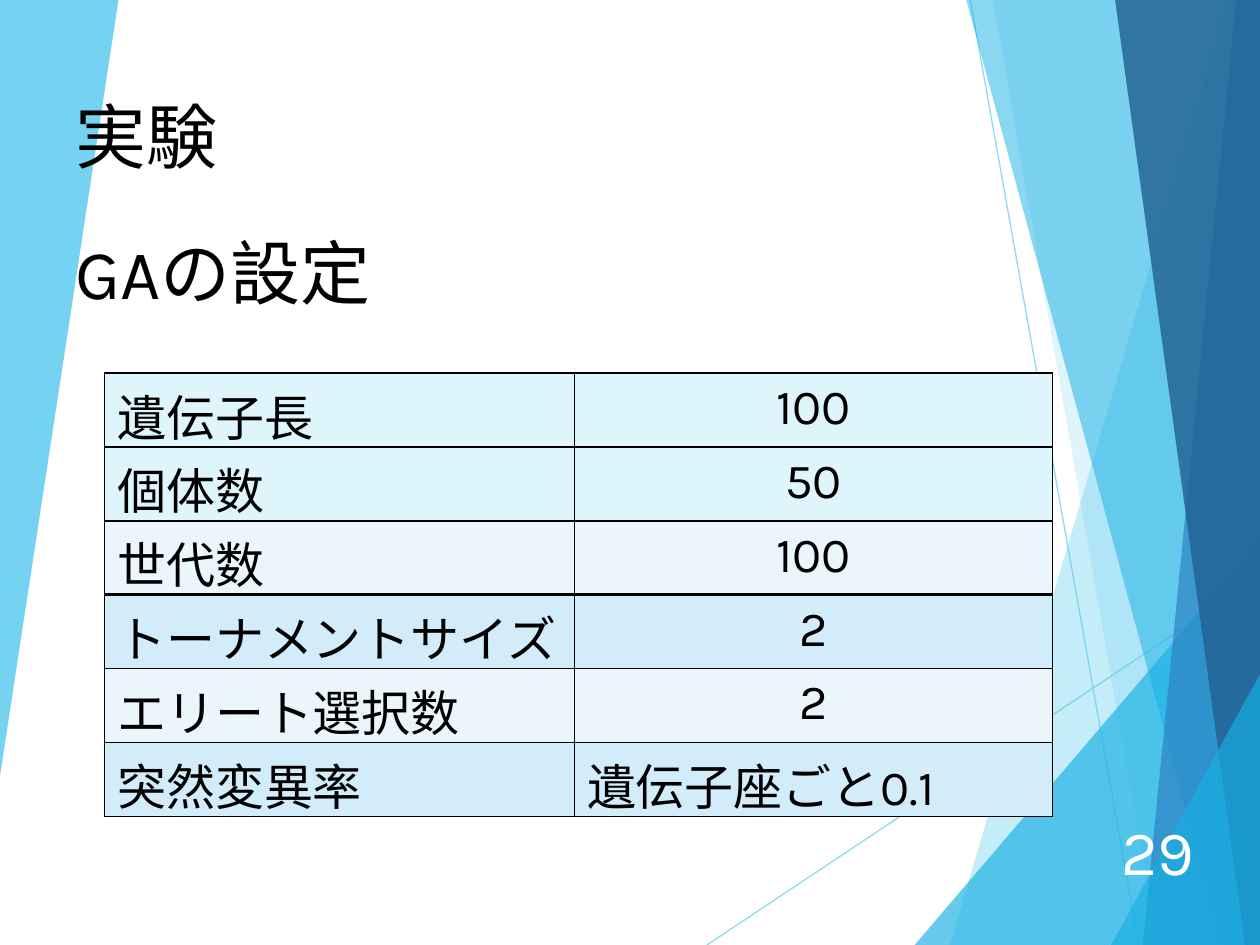
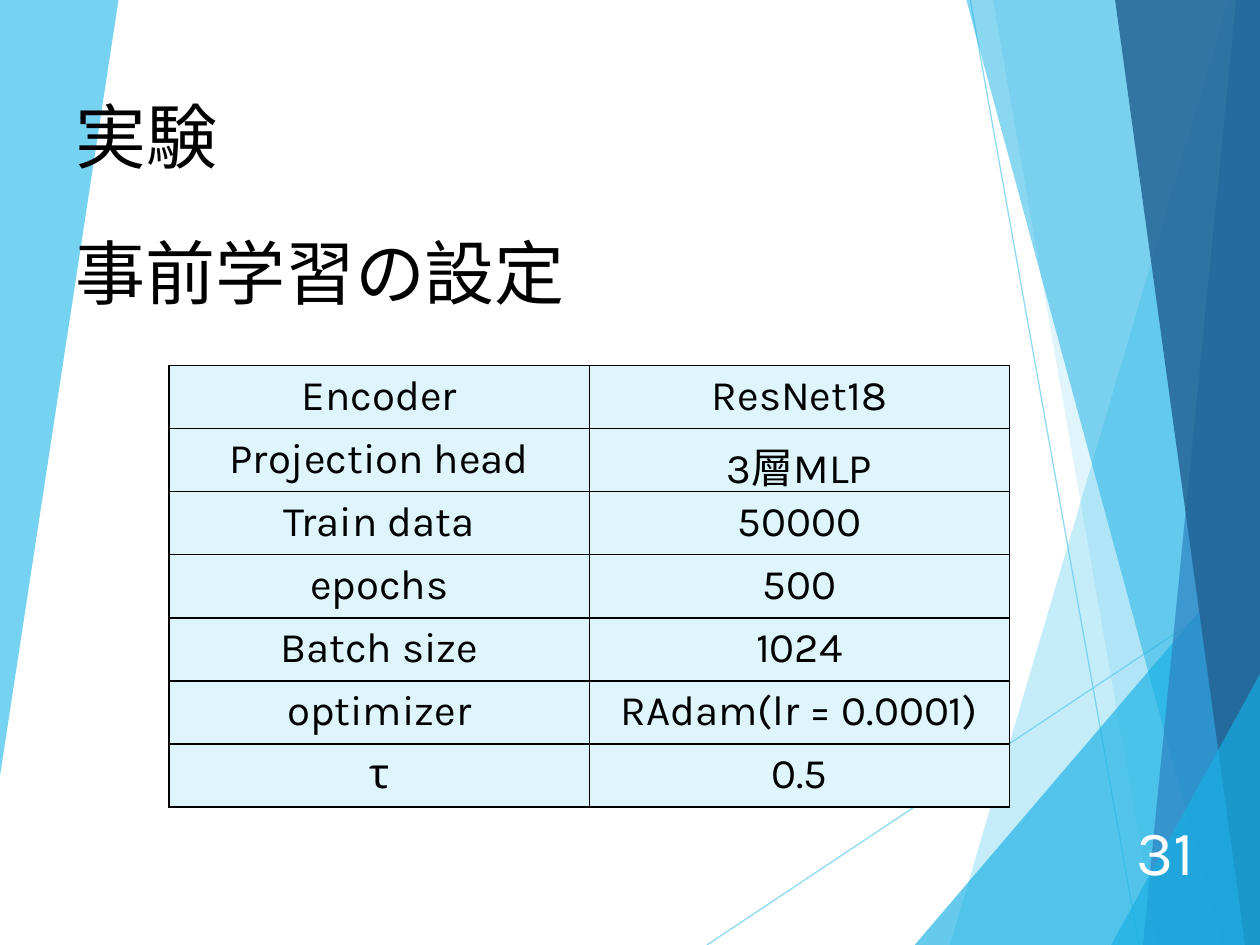
from dataclasses import dataclass
from typing import NamedTuple

from lxml.etree import SubElement
from pptx import Presentation
from pptx.dml.color import RGBColor
from pptx.enum.shapes import MSO_CONNECTOR
from pptx.enum.text import MSO_ANCHOR as Anchor, MSO_AUTO_SIZE as AutoSize, PP_ALIGN as Align
from pptx.oxml.ns import qn
from pptx.util import Cm, Pt


@dataclass(frozen=True)
class Theme:
    """Colours, font and type sizes of the deck."""
    font: str = "Karla"
    ink: str = "000000"
    paper: str = "FFFFFF"
    sky: str = "5FCBEF"
    cyan: str = "17B0E4"
    blue: str = "2E83C3"
    navy: str = "226292"
    cell_aqua: str = "DFF5FC"
    cell_pale: str = "EAF6FC"
    cell_blue: str = "D2ECF9"
    title_size: float = 40.5
    topic_size: float = 40
    number_size: float = 36
    wide_table_size: float = 28
    compact_table_size: float = 24
    hairline: float = 0.75
    rule: float = 1
    heavy_rule: float = 2.25


class Box(NamedTuple):
    """A region in centimetres."""
    left: float
    top: float
    width: float
    height: float

    def lengths(self):
        """Return the four sides as lengths."""
        return [Cm(side) for side in self]

    def point(self, x, y):
        """Return a point given relative to the box."""
        return Cm(self.left + x), Cm(self.top + y)


class Setting(NamedTuple):
    """One row of a settings table."""
    label: str
    value: str
    fill: str = "DFF5FC"
    value_align: Align = Align.CENTER


THEME = Theme()
PAGE = Box(0, 0, 25.4, 19.05)
TITLE = Box(1.27, 1.75, 9.68, 1.98)
TOPIC = Box(1.27, 4.5, 19.58, 1.96)
NUMBER = Box(22.2, 16.46, 2.13, 1.35)


def rgb(code):
    """Turn a hex code into a colour."""
    return RGBColor.from_string(code)


def write(frame, text, size, color=THEME.ink, align=Align.LEFT):
    """Add one styled run to the first paragraph of a frame."""
    paragraph = frame.paragraphs[0]
    paragraph.alignment = align
    run = paragraph.add_run()
    run.text = text
    run.font.name = THEME.font
    run.font.size = Pt(size)
    run.font.color.rgb = rgb(color)


def set_opacity(shape, percent):
    """Make every colour of a shape translucent."""
    for color in shape.element.iter(qn("a:srgbClr")):
        SubElement(color, qn("a:alpha"), val=str(percent * 1000))


def add_ray(shapes, box, start, end):
    """Draw one thin translucent line."""
    ray = shapes.add_connector(MSO_CONNECTOR.STRAIGHT, *box.point(*start), *box.point(*end))
    ray.line.color.rgb = rgb(THEME.sky)
    ray.line.width = Pt(THEME.hairline)
    set_opacity(ray, 70)
    SubElement(ray.element.spPr, qn("a:effectLst"))


def add_facet(shapes, box, outline, color, opacity):
    """Draw one translucent polygon."""
    first, *others = [box.point(*corner) for corner in outline]
    builder = shapes.build_freeform(*first)
    builder.add_line_segments(others, close=True)
    facet = builder.convert_to_shape()
    facet.shadow.inherit = False
    facet.fill.solid()
    facet.fill.fore_color.rgb = rgb(color)
    facet.line.fill.background()
    set_opacity(facet, opacity)


def add_backdrop(shapes, box):
    """Draw the faceted side bands and return their group."""
    width, height = box.width, box.height
    corner, upper = (width, height), (width, 0)

    def panel(top_x, bottom_x):
        return [(top_x, 0), (bottom_x, height), corner, upper]

    def wedge(bottom_x, right_y):
        return [(bottom_x, height), (width, right_y), corner]

    backdrop = shapes.add_group_shape()
    add_ray(backdrop.shapes, box, (14.25, height), (width, 11.63))
    add_ray(backdrop.shapes, box, (19.56, 0), (22.96, height))
    facets = [
        (panel(24.77, 19.15), THEME.sky, 36),
        (panel(20.02, 23.34), THEME.sky, 20),
        (wedge(18.44, 10.9), THEME.cyan, 66),
        (panel(19.48, 24.64), THEME.cyan, 50),
        (panel(24.92, 23.04), THEME.blue, 70),
        (panel(22.48, 25.1), THEME.navy, 82),
        (wedge(22.4, 13.59), THEME.cyan, 66),
        ([(0, 0), (2.39, 0), (0, 15.65)], THEME.sky, 85),
    ]
    for facet in facets:
        add_facet(backdrop.shapes, box, *facet)
    return backdrop


def prepare_layout(layout, backdrop):
    """Keep only the title on the layout and put the backdrop behind it."""
    for placeholder in list(layout.placeholders)[1:]:
        placeholder.element.getparent().remove(placeholder.element)
    layout.shapes.element.insert(2, backdrop.element)


def add_title(slide, box, text):
    """Place and fill the title placeholder."""
    title = slide.shapes.title
    title.left, title.top, title.width, title.height = box.lengths()
    frame = title.text_frame
    frame.auto_size = AutoSize.NONE
    frame.vertical_anchor = Anchor.TOP
    write(frame, text, THEME.title_size)


def add_label(slide, box, text, size, color=THEME.ink, align=Align.LEFT, anchor=Anchor.TOP):
    """Add a wrapped one-line text box."""
    frame = slide.shapes.add_textbox(*box.lengths()).text_frame
    frame.word_wrap = True
    frame.vertical_anchor = anchor
    write(frame, text, size, color, align)


def set_borders(cell, top, bottom):
    """Rule the four sides of a cell."""
    sides = {"L": THEME.rule, "R": THEME.rule, "T": top, "B": bottom}
    properties = cell._tc.get_or_add_tcPr()
    for side, width in sides.items():
        line = SubElement(properties, qn(f"a:ln{side}"), w=str(Pt(width)))
        SubElement(SubElement(line, qn("a:solidFill")), qn("a:srgbClr"), val=THEME.ink)


def add_settings(slide, box, settings, label_width, size, label_align, heavy_after=None):
    """Draw a two-column table with equal rows and an optional heavy rule."""
    count = len(settings)
    table = slide.shapes.add_table(count, 2, *box.lengths()).table
    table.first_row = table.horz_banding = False
    table.columns[0].width = Cm(label_width)
    table.columns[1].width = Cm(box.width - label_width)
    rules = [THEME.heavy_rule if i == heavy_after else THEME.rule for i in range(count + 1)]
    for index, setting in enumerate(settings):
        table.rows[index].height = Cm(box.height / count)
        texts = [(setting.label, label_align), (setting.value, setting.value_align)]
        for column, (text, align) in enumerate(texts):
            cell = table.cell(index, column)
            set_borders(cell, rules[index], rules[index + 1])
            cell.fill.solid()
            cell.fill.fore_color.rgb = rgb(setting.fill)
            write(cell.text_frame, text, size, align=align)


def add_experiment_slide(deck, layout, topic, number):
    """Add a slide with the shared heading, its topic and its number."""
    slide = deck.slides.add_slide(layout)
    add_title(slide, TITLE, "実験")
    add_label(slide, TOPIC, topic, THEME.topic_size)
    add_label(slide, NUMBER, number, THEME.number_size, THEME.paper, Align.RIGHT, Anchor.MIDDLE)
    return slide


def main():
    """Build both slides and save the deck."""
    deck = Presentation()
    deck.slide_width, deck.slide_height = Cm(PAGE.width), Cm(PAGE.height)
    layout = deck.slide_layouts[5]

    genetic = add_experiment_slide(deck, layout, "GAの設定", "29")
    prepare_layout(layout, add_backdrop(genetic.shapes, PAGE))
    genetic_settings = [
        Setting("遺伝子長", "100"),
        Setting("個体数", "50"),
        Setting("世代数", "100", THEME.cell_pale),
        Setting("トーナメントサイズ", "2", THEME.cell_blue),
        Setting("エリート選択数", "2", THEME.cell_pale),
        Setting("突然変異率", "遺伝子座ごと0.1", THEME.cell_blue, Align.LEFT),
    ]
    add_settings(genetic, Box(2.11, 7.52, 19.11, 8.94), genetic_settings, 9.47,
                 THEME.wide_table_size, Align.LEFT, heavy_after=3)

    pretraining = add_experiment_slide(deck, layout, "事前学習の設定", "31")
    pretraining_settings = [
        Setting("Encoder", "ResNet18"),
        Setting("Projection head", "3層MLP"),
        Setting("Train data", "50000"),
        Setting("epochs", "500"),
        Setting("Batch size", "1024"),
        Setting("optimizer", "RAdam(lr = 0.0001)"),
        Setting("τ", "0.5"),
    ]
    add_settings(pretraining, Box(3.41, 7.37, 16.94, 8.89), pretraining_settings, 8.47,
                 THEME.compact_table_size, Align.CENTER)

    deck.save("out.pptx")


if __name__ == "__main__":
    main()
